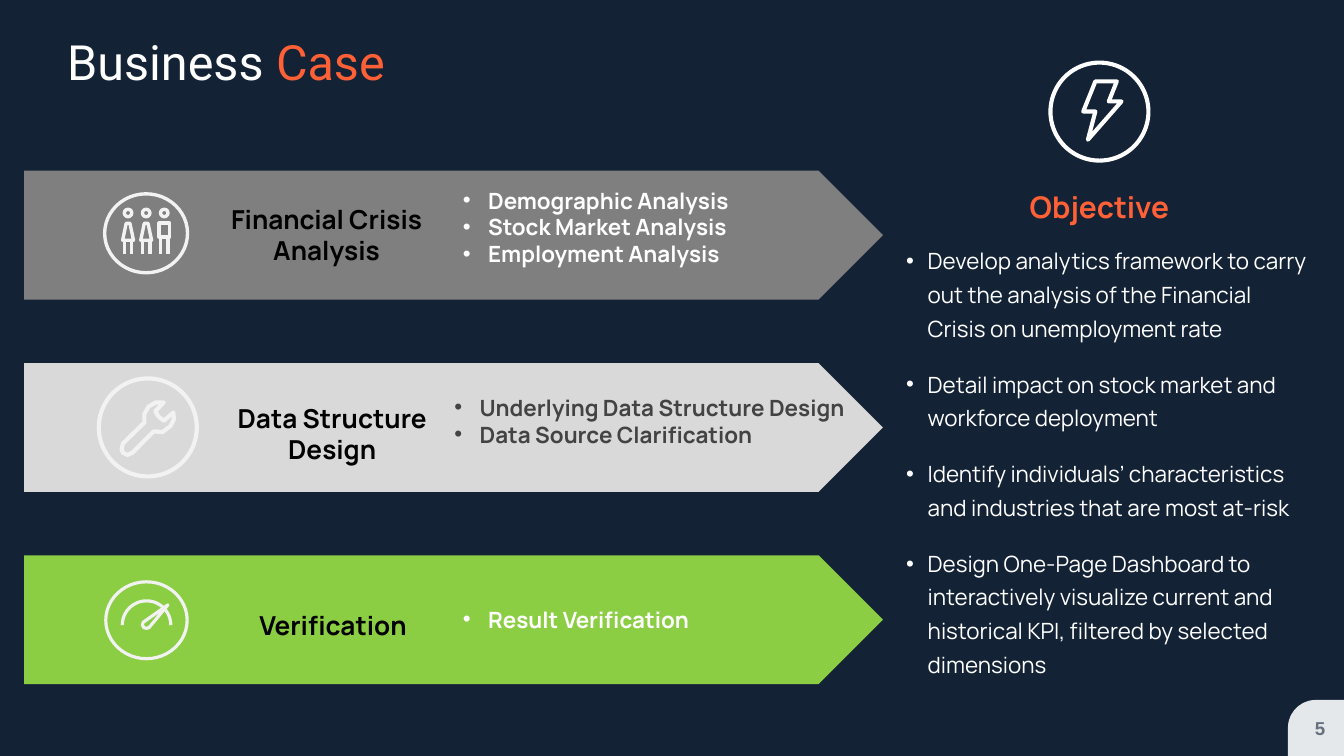
from math import cos, pi, sin

from lxml.etree import SubElement
from pptx import Presentation
from pptx.dml.color import RGBColor
from pptx.enum.shapes import MSO_SHAPE as Preset
from pptx.enum.text import MSO_ANCHOR as Anchor, MSO_AUTO_SIZE as AutoSize, PP_ALIGN as Align
from pptx.oxml.ns import qn
from pptx.util import Pt

NAVY = RGBColor(0x14, 0x22, 0x36)
ORANGE = RGBColor(0xFF, 0x60, 0x35)
WHITE = RGBColor(0xFF, 0xFF, 0xFF)
BLACK = RGBColor(0, 0, 0)
GRAY = RGBColor(0x7F, 0x7F, 0x7F)
SILVER = RGBColor(0xD9, 0xD9, 0xD9)
GREEN = RGBColor(0x8B, 0xCE, 0x43)
CHARCOAL = RGBColor(0x43, 0x43, 0x43)
ICON_GRAY = RGBColor(0xF2, 0xF2, 0xF2)
TAB_FILL = RGBColor(0xE5, 0xE8, 0xEB)
TAB_TEXT = RGBColor(0x66, 0x71, 0x80)

TITLE = [("Business ", WHITE), ("Case", ORANGE)]
OBJECTIVES = [
    "Develop analytics framework to carry out the analysis of the Financial Crisis on unemployment rate",
    "Detail impact on stock market and workforce deployment",
    "Identify individuals’ characteristics and industries that are most at-risk",
    "Design One-Page Dashboard to interactively visualize current and historical KPI, "
    "filtered by selected dimensions",
]
STAGES = [
    {"label": "Financial Crisis Analysis", "label_box": (123, 109, 104, 28),
     "items": ["Demographic Analysis", "Stock Market Analysis", "Employment Analysis"],
     "items_box": (248, 100, 314, 55), "fill": GRAY, "color": WHITE},
    {"label": "Data Structure Design", "label_box": (112, 215.5, 132, 28),
     "items": ["Underlying Data Structure Design", "Data Source Clarification"],
     "items_box": (243.5, 211, 266, 33), "fill": SILVER, "color": CHARCOAL},
    {"label": "Verification", "label_box": (115, 326.5, 127, 17),
     "items": ["Result Verification"],
     "items_box": (248, 324.5, 294, 14), "fill": GREEN, "color": WHITE},
]
ARROW_LEFT, ARROW_TOP, ARROW_WIDTH, ARROW_HEIGHT, ARROW_STEP = 13, 91.5, 460, 69, 103

DRESS = [(-1, -5.4), (1, -5.4), (2.9, 3.7), (-2.9, 3.7)]
TORSO = [(-2.8, -5.4), (2.8, -5.4), (2.8, 1.9), (-2.8, 1.9)]
PEOPLE = [(-9.7, DRESS, 3.7), (0, DRESS, 3.7), (9.7, TORSO, 1.9)]
WRENCH = [(-10.8, 14.7), (-13.3, 13.6), (-14, 11.5), (-13.3, 8.6), (-1.8, -2.6), (-1.8, -7.2),
          (0.4, -11.2), (4.3, -13.4), (8.6, -13.4), (4, -8.7), (5.8, -5.8), (8.6, -3.6),
          (13.7, -8), (14, -4.4), (12.2, -0.8), (7.9, 2.5), (3.2, 2.1), (-8.3, 13.6)]
NEEDLE = [(11.5, -8.3), (-1.8, 1.1), (-2.2, 2.5), (-1.5, 3.9), (0, 4.3), (1.4, 3.9)]
DIAL = [(-13 * cos(pi * step / 24), 2.6 - 13 * sin(pi * step / 24)) for step in range(25)]
BOLT = [(-2.2, -16.2), (9.3, -16.2), (5, -5.4), (11.8, -5.4), (-6.2, 15.1), (-2.2, 0), (-8.7, 0)]

people_strokes = []
for offset, body, hip in PEOPLE:
    people_strokes.append(([(offset + x, y) for x, y in body], True))
    people_strokes += [([(offset + x, hip), (offset + x, 10.9)], False) for x in (-2, 2)]

ICONS = [
    {"center": (78.3, 125), "ring": (44.4, 42.3), "width": 1.8, "color": ICON_GRAY,
     "strokes": people_strokes, "heads": [offset for offset, _, _ in PEOPLE]},
    {"center": (79.2, 229), "ring": (52.5, 52.5), "width": 2.2, "color": ICON_GRAY,
     "strokes": [(WRENCH, True)], "heads": []},
    {"center": (78.5, 332.3), "ring": (43.6, 41.2), "width": 1.7, "color": ICON_GRAY,
     "strokes": [(DIAL, False), (NEEDLE, True)], "heads": []},
    {"center": (589, 59.8), "ring": (52.5, 52.5), "width": 2.2, "color": WHITE,
     "strokes": [(BOLT, True)], "heads": []},
]

presentation = Presentation()
presentation.slide_width, presentation.slide_height = Pt(720), Pt(405)
slide = presentation.slides.add_slide(presentation.slide_layouts[1])
slide.background.fill.solid()
slide.background.fill.fore_color.rgb = NAVY
shapes = slide.shapes


def place(shape, box):
    shape.left, shape.top, shape.width, shape.height = map(Pt, box)


def add_text(box):
    return shapes.add_textbox(*map(Pt, box))


def add_filled(preset, box, color):
    shape = shapes.add_shape(preset, *map(Pt, box))
    shape.shadow.inherit = False
    shape.fill.solid()
    shape.fill.fore_color.rgb = color
    shape.line.fill.background()
    return shape


def add_bullet(paragraph, color, indent):
    properties = paragraph._p.get_or_add_pPr()
    properties.set("marL", str(Pt(indent)))
    properties.set("indent", str(-Pt(indent)))
    bullet_color = SubElement(properties, qn("a:buClr"))
    SubElement(bullet_color, qn("a:srgbClr")).set("val", str(color))
    SubElement(properties, qn("a:buFont")).set("typeface", "Arial")
    SubElement(properties, qn("a:buChar")).set("char", "•")


def write(shape, paragraphs, size, font="Manrope", bold=False, indent=0, anchor=Anchor.TOP, **layout):
    frame = shape.text_frame
    frame_format = {"word_wrap": True, "auto_size": AutoSize.NONE, "vertical_anchor": anchor,
                    "margin_left": 0, "margin_top": 0, "margin_right": 0, "margin_bottom": 0}
    for name, value in frame_format.items():
        setattr(frame, name, value)
    for index, runs in enumerate(paragraphs):
        paragraph = frame.add_paragraph() if index else frame.paragraphs[0]
        for name, value in layout.items():
            setattr(paragraph, name, value)
        if index == 0:
            paragraph.space_before = Pt(0)
        if indent:
            add_bullet(paragraph, runs[0][1], indent)
        for text, color in runs:
            run = paragraph.add_run()
            run.text = text
            for name, value in {"name": font, "size": Pt(size), "bold": bold}.items():
                setattr(run.font, name, value)
            run.font.color.rgb = color


def outline(shape, icon):
    shape.shadow.inherit = False
    shape.fill.background()
    shape.line.color.rgb = icon["color"]
    shape.line.width = Pt(icon["width"])


def add_ring(icon, x, y, width, height):
    outline(shapes.add_shape(Preset.OVAL, Pt(x - width / 2), Pt(y - height / 2), Pt(width), Pt(height)), icon)


def add_icon(icon):
    center_x, center_y = icon["center"]
    add_ring(icon, center_x, center_y, *icon["ring"])
    for offset in icon["heads"]:
        add_ring(icon, center_x + offset, center_y - 10.9, 4, 4)
    for stroke, closed in icon["strokes"]:
        points = [((center_x + x) * 100, (center_y + y) * 100) for x, y in stroke]
        builder = shapes.build_freeform(*points[0], scale=Pt(1) / 100)
        builder.add_line_segments(points[1:], close=closed)
        outline(builder.convert_to_shape(), icon)


title, body = shapes.title, slide.placeholders[1]
place(title, (36, 0, 250, 69))
write(title, [TITLE], 26, "Roboto", anchor=Anchor.MIDDLE, alignment=Align.LEFT, line_spacing=0.9)
place(body, (485.5, 129, 218, 238))
write(body, [[(text, WHITE)] for text in OBJECTIVES], 12, indent=11.5,
      line_spacing=1.25, space_before=Pt(12))

page_tab = add_filled(Preset.ROUND_1_RECTANGLE, (690, 375, 30, 30), TAB_FILL)
page_tab.adjustments[0] = 0.5
page_tab._element.spPr.find(qn("a:xfrm")).set("flipH", "1")
write(page_tab, [[("5", TAB_TEXT)]], 10, "Arial", True, anchor=Anchor.MIDDLE, alignment=Align.CENTER)

for row, stage in enumerate(STAGES):
    add_filled(Preset.PENTAGON, (ARROW_LEFT, ARROW_TOP + row * ARROW_STEP, ARROW_WIDTH, ARROW_HEIGHT),
               stage["fill"])
    write(add_text(stage["label_box"]), [[(stage["label"], BLACK)]], 14, bold=True, alignment=Align.CENTER)
    write(add_text(stage["items_box"]), [[(item, stage["color"])] for item in stage["items"]], 12,
          bold=True, indent=13.5)

for icon in ICONS:
    add_icon(icon)

write(add_text((546, 101, 86, 17)), [[("Objective", ORANGE)]], 16, bold=True, alignment=Align.CENTER)

presentation.save("out.pptx")
